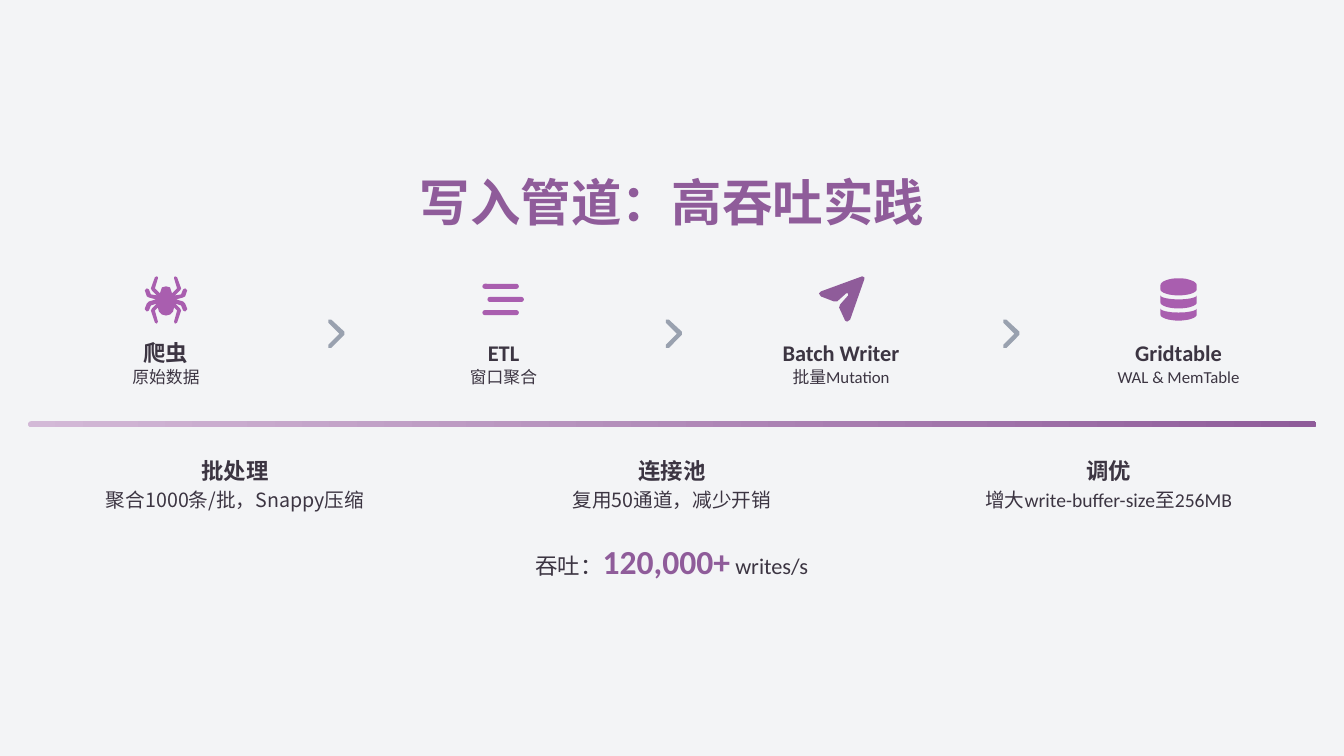
from dataclasses import dataclass
from math import cos, pi, sin

from lxml import etree
from pptx import Presentation
from pptx import util as u
from pptx.dml import color
from pptx.enum import shapes, text
from pptx.oxml import ns

Pt = u.Pt


@dataclass(frozen=True)
class Theme:
    paper: str = "F3F4F6"
    ink: str = "3C3542"
    plum: str = "8F5C9A"
    orchid: str = "A95EAF"
    lilac: str = "D3B9D7"
    grey: str = "99A1AF"
    han: str = "Noto Sans CJK SC"
    latin: str = "Calibri"
    title: int = 36
    figure: int = 24
    heading: int = 16
    detail: int = 14
    caption: int = 12


THEME = Theme()
FRAME = dict(margin_left=0, margin_right=0, margin_top=0, margin_bottom=0,
             word_wrap=True, auto_size=text.MSO_AUTO_SIZE.NONE,
             vertical_anchor=text.MSO_ANCHOR.MIDDLE)

# Icon outlines on a 0.72 pt grid, measured from the icon's centre
GRID = 0.72
SPIDER_HALF = [
    (0, -13), (4, -12), (6, -6), (11, -11), (8, -21), (8, -22), (9, -23),
    (11, -22), (15, -11), (14, -9), (9, -4), (15, -5), (17, -10), (19, -11),
    (21, -9), (19, -3), (17, -2), (10, 0), (17, 2), (19, 4), (21, 9),
    (21, 10), (19, 12), (17, 11), (15, 6), (9, 4), (14, 9), (15, 11),
    (11, 23), (9, 24), (8, 22), (11, 11), (8, 8), (7, 12), (4, 15), (0, 16)]
PLANE = [
    (21, -23), (23, -22), (23, -20), (9, 20), (6, 22), (4, 21), (-2, 8),
    (-1, 5), (7, -4), (7, -6), (5, -6), (-4, 2), (-7, 2), (-20, -3),
    (-22, -6), (-20, -8)]
CHEVRON = [(8, -2), (8, 1), (-5, 14), (-8, 14), (-8, 11), (3, 0),
           (-8, -11), (-8, -14), (-5, -14)]


def rgb(value):
    return color.RGBColor.from_string(value)


def apply(target, values):
    for name, value in values.items():
        setattr(target, name, value)


def write(shape, runs, spacing):
    """Fill a shape with one centred line of (words, font, size, colour, bold) runs."""
    apply(shape.text_frame, FRAME)
    line = shape.text_frame.paragraphs[0]
    apply(line, dict(alignment=text.PP_ALIGN.CENTER, line_spacing=spacing))
    for words, face, size, ink, bold in runs:
        run = line.add_run()
        run.text = words
        apply(run.font, dict(name=face, size=Pt(size), bold=bold))
        run.font.color.rgb = rgb(ink)
        etree.SubElement(run.font._element, ns.qn("a:ea"), typeface=face)


def label(slide, box, runs, spacing):
    write(slide.shapes.add_textbox(*map(Pt, box)), runs, spacing)


def plain(shape, ink):
    shape.shadow.inherit = False
    shape.line.fill.background()
    shape.fill.solid()
    shape.fill.fore_color.rgb = rgb(ink)


def outline(slide, x, y, points, ink):
    (first, *rest) = [(px * 10, py * 10) for px, py in points]
    builder = slide.shapes.build_freeform(*first, scale=Pt(GRID / 10))
    builder.add_line_segments(rest, close=True)
    plain(builder.convert_to_shape(Pt(x), Pt(y)), ink)


def pill(slide, box, ink):
    bar = slide.shapes.add_shape(shapes.MSO_SHAPE.ROUNDED_RECTANGLE, *map(Pt, box))
    bar.adjustments[0] = 0.5
    plain(bar, ink)
    return bar


# Stage icons, each centred on x, y
def spider(slide, x, y):
    mirrored = [(-px, py) for px, py in SPIDER_HALF[-2:0:-1]]
    outline(slide, x, y, SPIDER_HALF + mirrored, THEME.orchid)


def staggered_bars(slide, x, y):
    for row, indent in enumerate((0, 3.6, 0)):
        pill(slide, (x - 15.1 + indent, y - 11.2 + row * 9.4, 26, 3.6), THEME.orchid)


def plane(slide, x, y):
    outline(slide, x, y, PLANE, THEME.plum)


def database(slide, x, y):
    angles = [step * pi / 16 for step in range(17)]
    # Each disc: upper side, bulge of its upper edge, lower side
    for upper, bulge, lower in ((-14, -7, -10), (-4, 4, 3), (9, 4, 15)):
        top = [(-18 * cos(a), upper + bulge * sin(a)) for a in angles]
        bottom = [(18 * cos(a), lower + 6 * sin(a)) for a in angles]
        outline(slide, x, y, top + bottom, THEME.orchid)


STAGES = [
    (spider, ("爬虫", THEME.han), [("原始数据", THEME.han)]),
    (staggered_bars, ("ETL", THEME.latin), [("窗口聚合", THEME.han)]),
    (plane, ("Batch Writer", THEME.latin),
     [("批量", THEME.han), ("Mutation", THEME.latin)]),
    (database, ("Gridtable", THEME.latin), [("WAL & MemTable", THEME.latin)]),
]
PRACTICES = [
    ("批处理", [("聚合1000条/批，Snappy压缩", THEME.han)]),
    ("连接池", [("复用50通道，减少开销", THEME.han)]),
    ("调优", [("增大", THEME.han), ("write-buffer-size", THEME.latin),
            ("至", THEME.han), ("256MB", THEME.latin)]),
]


def styled(parts, size, bold=False):
    return [(words, face, size, THEME.ink, bold) for words, face in parts]


def add_title(slide, box, words):
    title = slide.shapes.title
    apply(title, dict(zip(("left", "top", "width", "height"), map(Pt, box))))
    write(title, [(words, THEME.han, THEME.title, THEME.plum, True)], 0.9)


def add_pipeline(slide, box):
    left, top, width, _ = box
    pitch = width / (len(STAGES) - 1)
    for index, (icon, name, note) in enumerate(STAGES):
        x = left + index * pitch
        icon(slide, x, top + 15.2)
        label(slide, (x - 54, top + 38.2, 108, 23.8),
              styled([name], THEME.heading, True), 1.3)
        label(slide, (x - 54, top + 62, 108, 15.8), styled(note, THEME.caption), 1.1)
        if index < len(STAGES) - 1:
            outline(slide, x + 121.7, top + 39.7, CHEVRON, THEME.grey)


def add_divider(slide, box):
    divider = pill(slide, box, THEME.plum)
    divider.fill.gradient()
    divider.fill.gradient_angle = 0
    for stop, ink in zip(divider.fill.gradient_stops, (THEME.lilac, THEME.plum)):
        stop.color.rgb = rgb(ink)


def add_practices(slide, box):
    left, top, width, _ = box
    gap = 8
    column = (width - gap * (len(PRACTICES) - 1)) / len(PRACTICES)
    for index, (name, detail) in enumerate(PRACTICES):
        x = left + index * (column + gap)
        label(slide, (x, top, column, 23.8),
              styled([(name, THEME.han)], THEME.heading, True), 1.3)
        label(slide, (x, top + 23.8, column, 20.2), styled(detail, THEME.detail), 1.2)


def add_throughput(slide, box):
    label(slide, box, [
        ("吞吐：", THEME.han, THEME.heading, THEME.ink, False),
        ("120,000+", THEME.latin, THEME.figure, THEME.plum, True),
        (" writes/s", THEME.latin, THEME.heading, THEME.ink, False)], 1.3)


def main():
    deck = Presentation()
    apply(deck, dict(slide_width=Pt(960), slide_height=Pt(540)))
    slide = deck.slides.add_slide(deck.slide_layouts[5])
    slide.background.fill.solid()
    slide.background.fill.fore_color.rgb = rgb(THEME.paper)
    add_title(slide, (10.8, 126.7, 938.4, 40.3), "写入管道：高吞吐实践")
    add_pipeline(slide, (118.6, 198.7, 723.3, 77.8))
    add_divider(slide, (20, 300.9, 920, 4.3))
    add_practices(slide, (16, 321.1, 928, 44))
    add_throughput(slide, (16, 380.9, 928, 31.7))
    deck.save("out.pptx")


if __name__ == "__main__":
    main()
